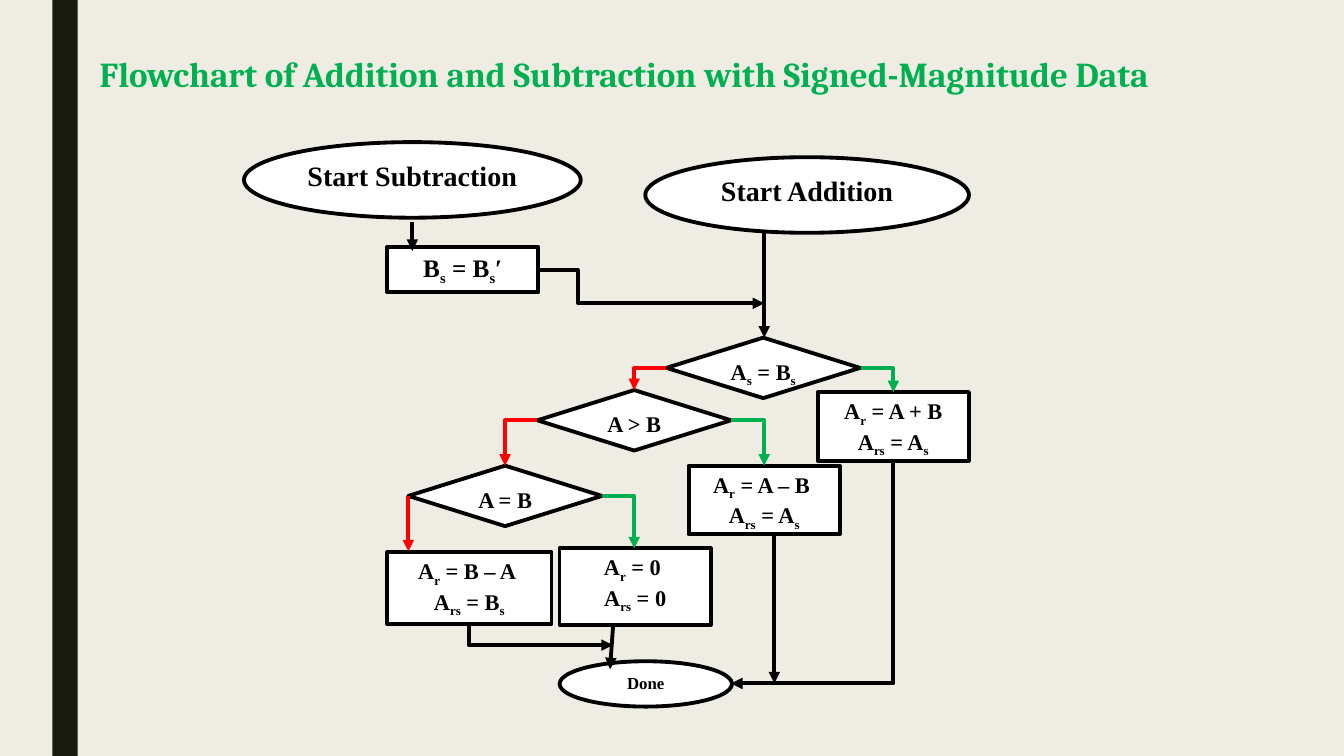
import pptx
import pptx.dml.color
import pptx.enum.shapes
import pptx.enum.text
import pptx.oxml
import pptx.oxml.ns
import pptx.util

Inches = pptx.util.Inches
Kind = pptx.enum.shapes.MSO_SHAPE
Link = pptx.enum.shapes.MSO_CONNECTOR
Align = pptx.enum.text.PP_ALIGN

BLACK, WHITE, GREEN, RED = "000000", "FFFFFF", "00B050", "FF0000"
LINE_WIDTH = pptx.util.Pt(2.75)
DECISION_SIZE = (1.92, 0.6)
RESULT_SIZE = (1.5, 0.68)


def color(value):
    """Turn a hex string into a colour."""
    return pptx.dml.color.RGBColor.from_string(value)


def apply(target, formats):
    """Set each named attribute on the target."""
    for name, value in formats.items():
        setattr(target, name, value)


def write(box, lines, size, font, ink, align, inset=(0.1, 0.05), spacing=1.0):
    """Write lines in which text between bars is subscript."""
    frame = box.text_frame
    across, down = map(Inches, inset)
    apply(frame, {
        "word_wrap": True,
        "vertical_anchor": pptx.enum.text.MSO_ANCHOR.TOP,
        "margin_left": across, "margin_right": across,
        "margin_top": down, "margin_bottom": down,
    })
    for index, line in enumerate(lines):
        para = frame.add_paragraph() if index else frame.paragraphs[0]
        apply(para, {"alignment": align, "line_spacing": spacing})
        for order, piece in enumerate(line.split("|")):
            if not piece:
                continue
            span = para.add_run()
            span.text = piece
            apply(span.font, {"size": pptx.util.Pt(size), "name": font, "bold": True})
            span.font.color.rgb = color(ink)
            if order % 2:
                span.font._element.set("baseline", "-25000")


def add_node(page, kind, at, extent, lines, size=16):
    """Add a white outlined flowchart node with centred text."""
    node = page.shapes.add_shape(kind, *map(Inches, at + extent))
    node.shadow.inherit = False
    node.fill.solid()
    node.fill.fore_color.rgb = color(WHITE)
    node.line.color.rgb = color(BLACK)
    node.line.width = LINE_WIDTH
    inset = (0.1, 0.05) if kind == Kind.OVAL else (0.05, 0.05)
    write(node, lines, size, "Times New Roman", BLACK, Align.CENTER, inset)


def add_arrow(page, start, end, ink=BLACK, link=Link.STRAIGHT):
    """Add a connector that ends in a triangle."""
    arrow = page.shapes.add_connector(link, *map(Inches, start + end))
    arrow.line.color.rgb = color(ink)
    arrow.line.width = LINE_WIDTH
    head = pptx.oxml.parse_xml(
        f'<a:tailEnd {pptx.oxml.ns.nsdecls("a")} type="triangle"/>')
    arrow.line._get_or_add_ln().append(head)
    effects = pptx.oxml.parse_xml(f'<a:effectLst {pptx.oxml.ns.nsdecls("a")}/>')
    arrow._element.spPr.append(effects)
    return arrow


def add_corner(page, start, end, ink=BLACK):
    """Add an arrow that runs across and then down."""
    arrow = add_arrow(page, start, end, ink, Link.ELBOW)
    arrow._element.spPr.prstGeom.set("prst", "bentConnector2")
    return arrow


def add_drop(page, start, end):
    """Add an arrow that runs down and then across, as a turned corner."""
    middle_x, middle_y = (start[0] + end[0]) / 2, (start[1] + end[1]) / 2
    half_across = abs(end[0] - start[0]) / 2
    half_down = (end[1] - start[1]) / 2
    leftward = end[0] < start[0]
    reach = half_down if leftward else -half_down
    arrow = add_corner(page, (middle_x - reach, middle_y - half_across),
                       (middle_x + reach, middle_y + half_across))
    arrow._element.spPr.xfrm.set("rot", str((90 if leftward else 270) * 60000))


def add_step(page, start, end, share):
    """Add an arrow that steps down after a share of its width."""
    arrow = add_arrow(page, start, end, link=Link.ELBOW)
    guide = pptx.oxml.parse_xml(
        f'<a:gd {pptx.oxml.ns.nsdecls("a")} name="adj1" fmla="val {round(share * 100000)}"/>')
    arrow._element.spPr.prstGeom.get_or_add_avLst().append(guide)


def add_frame(page):
    """Add the background, side bar and title."""
    page.background.fill.solid()
    page.background.fill.fore_color.rgb = color("EFEDE3")
    bar = page.shapes.add_shape(Kind.RECTANGLE, *map(Inches, (0.52, 0, 0.25, 7.5)))
    bar.shadow.inherit = False
    bar.fill.solid()
    bar.fill.fore_color.rgb = color("191B0E")
    bar.line.fill.background()
    title = page.shapes.add_textbox(*map(Inches, (0.89, 0.52, 12.28, 0.61)))
    write(title, ["Flowchart of Addition and Subtraction with Signed-Magnitude Data"],
          25, "Cambria", GREEN, Align.LEFT, spacing=0.89)


def add_nodes(page):
    """Add the terminals, decisions and results."""
    for at, extent, label, size in (
        ((2.42, 1.41), (3.34, 0.75), "Start Subtraction", 20),
        ((6.4, 1.56), (3.21, 0.75), "Start Addition", 20),
        ((5.55, 6.56), (1.71, 0.45), "Done", 12),
    ):
        add_node(page, Kind.OVAL, at, extent, [label], size)
    for at, label in (
        ((6.61, 3.35), "A|s| = B|s|"),
        ((5.33, 3.87), "A > B"),
        ((4.05, 4.62), "A = B"),
    ):
        add_node(page, Kind.FLOWCHART_DECISION, at, DECISION_SIZE, [label])
    for at, extent, lines in (
        ((8.11, 3.89), RESULT_SIZE, ["A|r| = A + B", "A|rs| = A|s|"]),
        ((6.83, 4.62), RESULT_SIZE, ["A|r| = A – B ", "A|rs| = A|s|"]),
        ((5.55, 5.44), (1.5, 0.76), ["A|r| = 0 ", "A|rs| = 0"]),
        ((3.84, 5.48), (1.63, 0.71), ["A|r| = B – A ", "A|rs| = B|s|"]),
    ):
        add_node(page, Kind.FLOWCHART_PROCESS, at, extent, lines)
    add_node(page, Kind.FLOWCHART_PROCESS, (3.84, 2.45), (1.5, 0.45),
             ["B|s| = B|s|′"], 18)


def add_arrows(page):
    """Add the arrows between the nodes."""
    for start, end, ink in (
        ((4.09, 2.2), (4.09, 2.49), BLACK),
        ((7.58, 2.3), (7.58, 3.35), BLACK),
        ((7.68, 5.3), (7.68, 6.78), BLACK),
        ((6.08, 6.22), (6.05, 6.64), BLACK),
        ((4.05, 4.92), (4.05, 5.47), RED),
    ):
        add_arrow(page, start, end, ink)
    for start, end, ink in (
        ((8.54, 3.65), (8.86, 3.89), GREEN),
        ((7.25, 4.17), (7.58, 4.62), GREEN),
        ((5.97, 4.92), (6.29, 5.44), GREEN),
        ((6.61, 3.65), (6.29, 3.87), RED),
        ((5.33, 4.17), (5.01, 4.62), RED),
    ):
        add_corner(page, start, end, ink)
    add_drop(page, (8.86, 4.56), (7.25, 6.78))
    add_drop(page, (4.65, 6.19), (6.08, 6.4))
    add_step(page, (5.33, 2.68), (7.58, 3.01), 0.18)


def main():
    """Build and save the flowchart slide."""
    deck = pptx.Presentation()
    apply(deck, {"slide_width": Inches(13.33), "slide_height": Inches(7.5)})
    page = deck.slides.add_slide(deck.slide_layouts[6])
    add_frame(page)
    add_nodes(page)
    add_arrows(page)
    deck.save("out.pptx")


if __name__ == "__main__":
    main()
